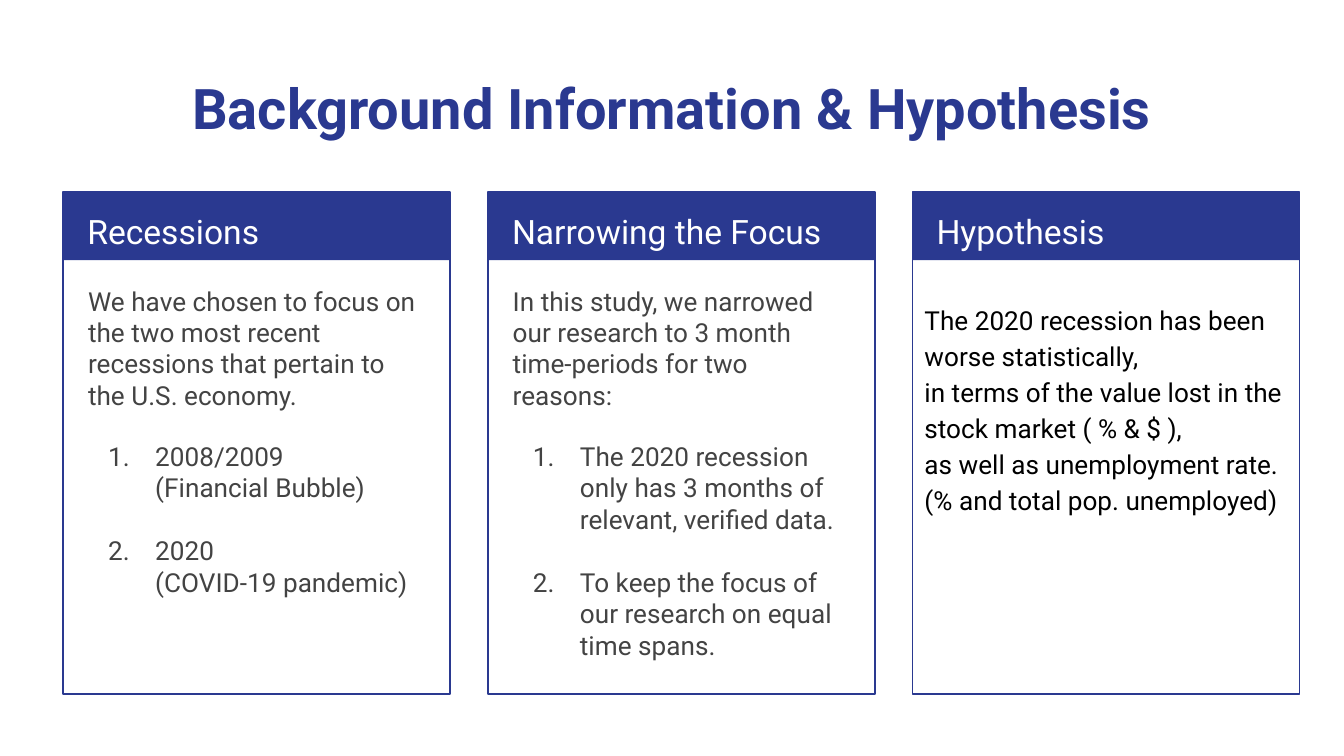
from lxml.etree import SubElement
from pptx import Presentation
from pptx.dml.color import RGBColor
from pptx.enum.shapes import MSO_SHAPE
from pptx.enum.text import MSO_ANCHOR, MSO_AUTO_SIZE, PP_ALIGN
from pptx.oxml.ns import qn
from pptx.util import Pt

PX = 4572  # EMU per px, 200 px to the inch
FONT = "Roboto"
NAVY = RGBColor(0x2A, 0x39, 0x90)
GRAY = RGBColor(0x43, 0x43, 0x43)
WHITE = RGBColor(0xFF, 0xFF, 0xFF)
BLACK = RGBColor(0x00, 0x00, 0x00)

# Card grid
LEFT, TOP, STEP = 94, 286, 632
WIDE, HIGH, HEAD = 576, 747, 101

# Heading, intro, numbered items; each text is a list of lines
CARDS = [
    ("Recessions",
     ["We have chosen to focus on the two most recent recessions "
      "that pertain to the U.S. economy."],
     [["2008/2009", "(Financial Bubble)"],
      ["2020", "(COVID-19 pandemic)"]]),
    ("Narrowing the Focus",
     ["In this study, we narrowed our research to 3 month "
      "time-periods for two reasons:"],
     [["The 2020 recession only has 3 months of relevant, verified data."],
      ["To keep the focus of our research on equal time spans."]]),
]
CLAIM = ["The 2020 recession has been worse statistically,",
         "in terms of the value lost in the stock market ( % & $ ),",
         "as well as unemployment rate. (% and total pop. unemployed)"]


def px(*vals):
    return [val * PX for val in vals]


def place(shape, box):
    """Set a text shape's box and margins, and bring it to the front."""
    shape.left, shape.top, shape.width, shape.height = px(*box)
    frame = shape.text_frame
    frame.word_wrap = True
    frame.auto_size = MSO_AUTO_SIZE.NONE
    frame.vertical_anchor = MSO_ANCHOR.TOP
    frame.margin_left = frame.margin_right = 20 * PX
    frame.margin_top = frame.margin_bottom = 20 * PX
    shape.element.getparent().append(shape.element)
    return frame


def write(para, lines, size, color, space=1.0, before=0, bold=False):
    """Fill a paragraph with runs, one to a line."""
    para.line_spacing = space
    para.space_before, para.space_after = Pt(before), Pt(0)
    for i, line in enumerate(lines):
        if i:
            para.add_line_break()
        run = para.add_run()
        run.text = line
        font = run.font
        font.name, font.size, font.bold = FONT, Pt(size), bold
        font.color.rgb = color


def plain(para):
    """Turn off the bullet and indent."""
    props = para._p.get_or_add_pPr()
    props.set("marL", "0")
    props.set("indent", "0")
    SubElement(props, qn("a:buNone"))


def number(para):
    """Number a list item automatically."""
    props = para._p.get_or_add_pPr()
    props.set("marL", str(100 * PX))
    props.set("indent", str(-70 * PX))
    tint = SubElement(props, qn("a:buClr"))
    SubElement(tint, qn("a:srgbClr"), val=str(GRAY))
    SubElement(props, qn("a:buFont"), typeface=FONT)
    SubElement(props, qn("a:buAutoNum"), type="arabicPeriod")


def add_card(slide, left):
    """Draw a header band and an outlined frame as one group."""
    group = slide.shapes.add_group_shape()
    band, frame = [
        group.shapes.add_shape(MSO_SHAPE.RECTANGLE, *px(left, TOP, WIDE, high))
        for high in (HEAD, HIGH)]
    for shape in (band, frame):
        shape.shadow.inherit = False
    band.fill.solid()
    band.fill.fore_color.rgb = NAVY
    band.line.fill.background()
    frame.fill.background()
    frame.line.color.rgb = NAVY
    frame.line.width = Pt(0.75)


def add_head(shape, left, text):
    para = place(shape, (left + 16, TOP - 1, 546, 100)).paragraphs[0]
    write(para, [text], 18, WHITE, space=1.15)
    plain(para)


def add_list(shape, left, intro, items):
    frame = place(shape, (left + 17, 404, 542, 612))
    para = frame.paragraphs[0]
    write(para, intro, 14, GRAY)
    plain(para)
    for i, item in enumerate(items):
        para = frame.add_paragraph()
        write(para, item, 14, GRAY, before=16 + i)
        number(para)


def add_claim(shape, left):
    para = place(shape, (left - 2, 426, WIDE, 484)).paragraphs[0]
    write(para, CLAIM, 14, BLACK, space=1.15)


def main():
    deck = Presentation()
    deck.slide_width, deck.slide_height = px(2000, 1125)
    slide = deck.slides.add_slide(deck.slide_layouts.get_by_name("Comparison"))
    title, *bodies = slide.placeholders

    # Title
    para = place(title, (68, 90, 1864, 132)).paragraphs[0]
    write(para, ["Background Information & Hypothesis"], 30, NAVY, bold=True)
    para.alignment = PP_ALIGN.CENTER

    # Cards with numbered lists
    for i, (head, intro, items) in enumerate(CARDS):
        left = LEFT + i * STEP
        add_card(slide, left)
        add_head(bodies[2 * i], left, head)
        add_list(bodies[2 * i + 1], left, intro, items)

    # Hypothesis card
    left = LEFT + len(CARDS) * STEP
    add_card(slide, left)
    boxes = [slide.shapes.add_textbox(0, 0, PX, PX) for _ in range(2)]
    add_head(boxes[0], left, "Hypothesis")
    add_claim(boxes[1], left)

    deck.save("out.pptx")


if __name__ == "__main__":
    main()
